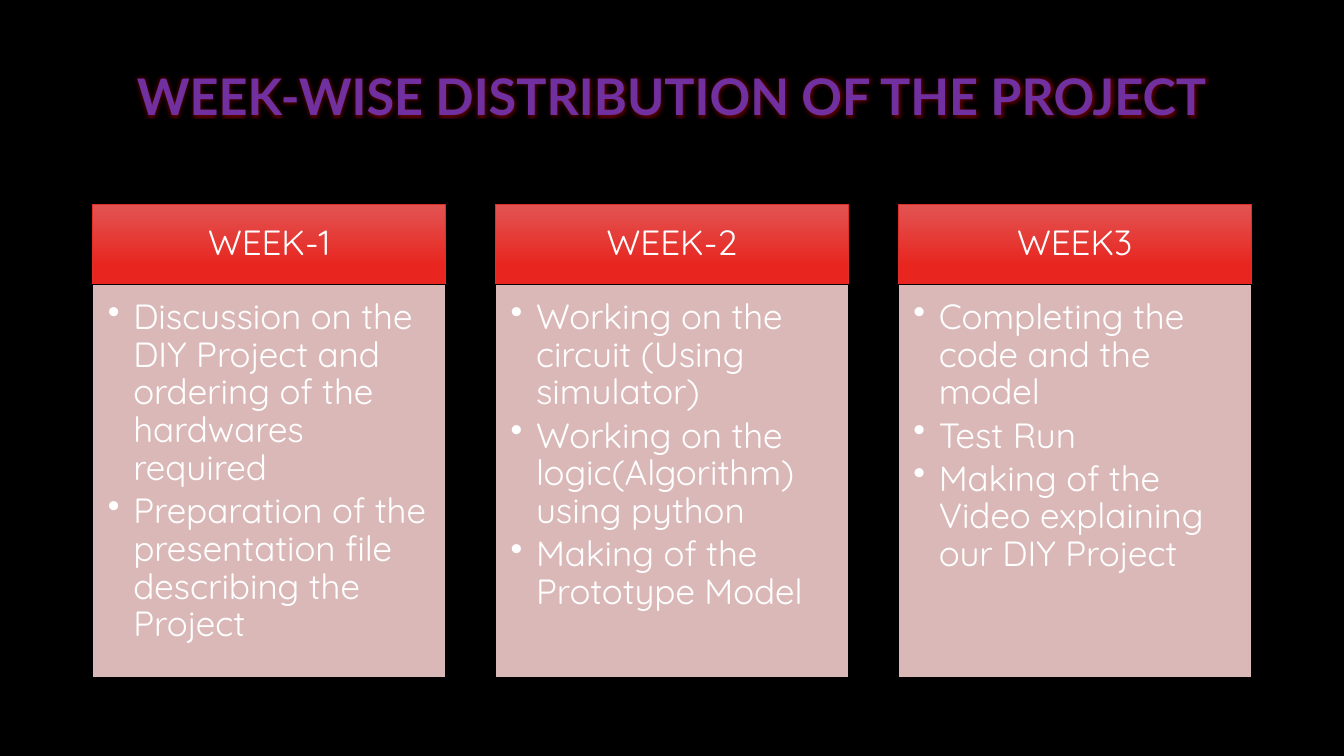
from dataclasses import dataclass

from lxml import etree
from pptx import Presentation
from pptx.dml.color import RGBColor
from pptx.enum.shapes import MSO_SHAPE
from pptx.enum.text import MSO_ANCHOR, PP_ALIGN
from pptx.oxml.ns import qn
from pptx.util import Cm, Pt

RECTANGLE = MSO_SHAPE.RECTANGLE
TOP, MIDDLE = MSO_ANCHOR.TOP, MSO_ANCHOR.MIDDLE
LEFT, CENTER = PP_ALIGN.LEFT, PP_ALIGN.CENTER


@dataclass(frozen=True)
class Theme:
    background: str = "000000"
    title: str = "7030A0"
    glow: str = "FF0000"
    header_light: str = "E25452"
    header_dark: str = "E8251F"
    header_line: str = "DF2E28"
    panel: str = "F3CDCD"
    panel_line: str = "000000"
    text: str = "FFFFFF"
    title_font: str = "Lato"
    body_font: str = "Quicksand"
    title_size: float = 36
    body_size: float = 25
    task_gap: float = 3.75
    line_width: float = 0.75


THEME = Theme()

TITLE = "WEEK-WISE DISTRIBUTION OF THE PROJECT"
WEEKS = {
    "WEEK-1": [
        "Discussion on the DIY Project and ordering of the hardwares required",
        "Preparation of the presentation file describing the Project",
    ],
    "WEEK-2": [
        "Working on the circuit (Using simulator)",
        "Working on the logic(Algorithm) using python",
        "Making of the Prototype Model",
    ],
    "WEEK3": [
        "Completing the code and the model",
        "Test Run",
        "Making of the Video explaining our DIY Project",
    ],
}

FIRST_LEFT, COLUMN_STEP, COLUMN_WIDTH = 2.34, 10.15, 8.89
HEADER_TOP, HEADER_HEIGHT, PANEL_HEIGHT = 5.16, 2, 9.91
BULLET_INDENT = Cm(0.64)


def color(code):
    return RGBColor.from_string(code)


def apply(target, formats):
    for name, value in formats.items():
        setattr(target, name, value)


def set_frame(frame, anchor, insets):
    """Wrap the text and set its left, top, right and bottom insets in cm."""
    sides = ("margin_left", "margin_top", "margin_right", "margin_bottom")
    apply(frame, {"word_wrap": True, "vertical_anchor": anchor})
    apply(frame, dict(zip(sides, map(Cm, insets))))


def write(paragraph, text, align, font, size, ink, bold=False):
    apply(paragraph, {"alignment": align, "line_spacing": 0.9})
    run = paragraph.add_run()
    run.text = text
    apply(run.font, {"name": font, "size": Pt(size), "bold": bold})
    run.font.color.rgb = color(ink)
    return run


def add_alpha(parent, percent):
    etree.SubElement(parent, qn("a:alpha"), val=str(percent * 1000))


def add_glow(run):
    effects = etree.Element(qn("a:effectLst"))
    glow = etree.SubElement(effects, qn("a:glow"), rad=str(Pt(5)))
    tint = etree.SubElement(glow, qn("a:srgbClr"), val=THEME.glow)
    add_alpha(tint, 40)
    run.font.fill._xPr.find(qn("a:solidFill")).addnext(effects)


def add_bullet(paragraph):
    properties = paragraph._p.get_or_add_pPr()
    properties.set("marL", str(BULLET_INDENT))
    properties.set("indent", str(-BULLET_INDENT))
    etree.SubElement(properties, qn("a:buChar"), char="•")


def add_title(slide):
    box = slide.shapes.add_textbox(Cm(0.58), Cm(0.97), Cm(32.69), Cm(3.05))
    set_frame(box.text_frame, MIDDLE, (0.25, 0.13, 0.25, 0.13))
    run = write(box.text_frame.paragraphs[0], TITLE, CENTER,
                THEME.title_font, THEME.title_size, THEME.title, bold=True)
    add_glow(run)


def add_block(slide, left, top, height, line):
    block = slide.shapes.add_shape(
        RECTANGLE, Cm(left), Cm(top), Cm(COLUMN_WIDTH), Cm(height))
    block.shadow.inherit = False
    block.line.color.rgb = color(line)
    block.line.width = Pt(THEME.line_width)
    return block


def add_header(slide, left, week):
    header = add_block(slide, left, HEADER_TOP, HEADER_HEIGHT, THEME.header_line)
    header.fill.gradient()
    header.fill.gradient_angle = 270
    stops = ((0, THEME.header_light), (0.78, THEME.header_dark))
    for stop, (position, tint) in zip(header.fill.gradient_stops, stops):
        stop.position = position
        stop.color.rgb = color(tint)
    set_frame(header.text_frame, MIDDLE, (0.48, 0.28, 0.48, 0.28))
    write(header.text_frame.paragraphs[0], week, CENTER,
          THEME.body_font, THEME.body_size, THEME.text)


def add_task_panel(slide, left, tasks):
    panel = add_block(slide, left, HEADER_TOP + HEADER_HEIGHT,
                      PANEL_HEIGHT, THEME.panel_line)
    panel.fill.solid()
    panel.fill.fore_color.rgb = color(THEME.panel)
    add_alpha(panel._element.spPr.find(qn("a:solidFill"))[0], 90)
    frame = panel.text_frame
    set_frame(frame, TOP, (0.38, 0.38, 0.48, 0.56))
    for index, task in enumerate(tasks):
        paragraph = frame.add_paragraph() if index else frame.paragraphs[0]
        add_bullet(paragraph)
        paragraph.space_after = Pt(THEME.task_gap)
        write(paragraph, task, LEFT,
              THEME.body_font, THEME.body_size, THEME.text)


def main():
    deck = Presentation()
    apply(deck, {"slide_width": Cm(33.87), "slide_height": Cm(19.05)})
    slide = deck.slides.add_slide(deck.slide_layouts[6])
    slide.background.fill.solid()
    slide.background.fill.fore_color.rgb = color(THEME.background)
    add_title(slide)
    for column, (week, tasks) in enumerate(WEEKS.items()):
        left = FIRST_LEFT + column * COLUMN_STEP
        add_header(slide, left, week)
        add_task_panel(slide, left, tasks)
    deck.save("out.pptx")


if __name__ == "__main__":
    main()
